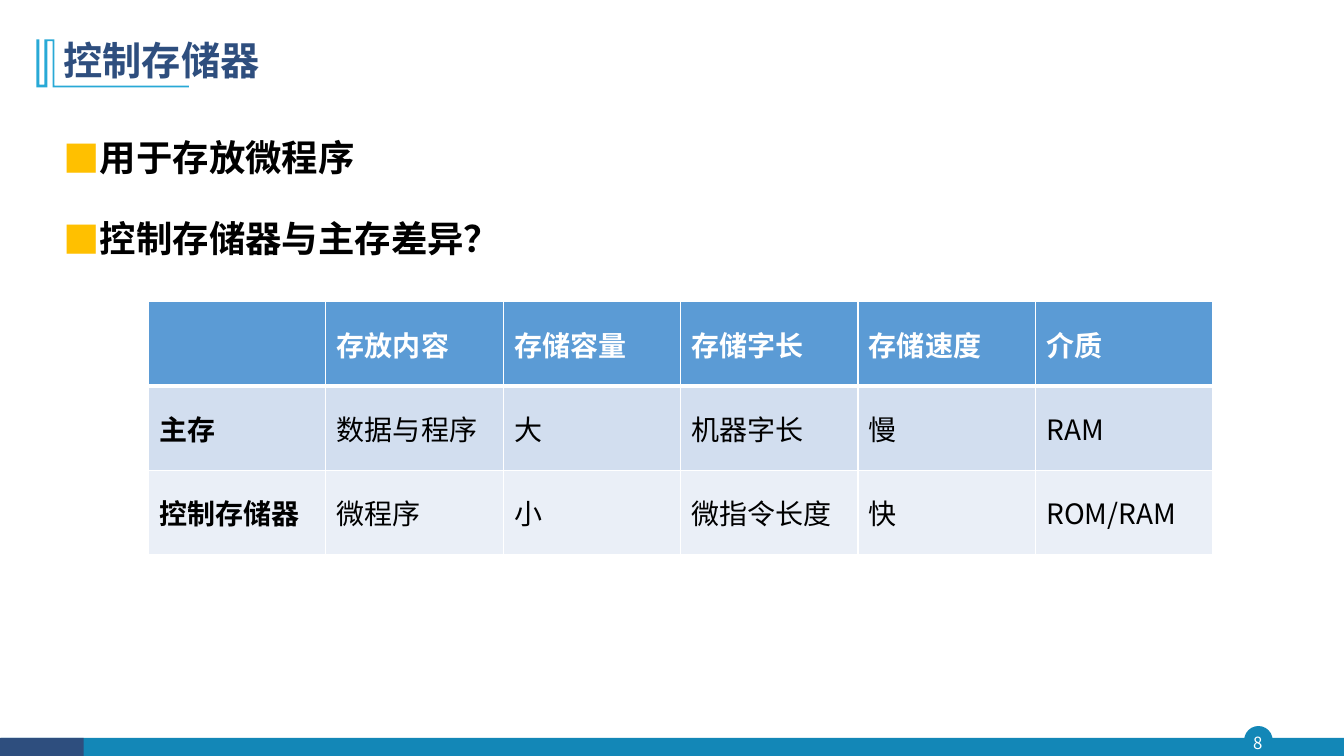
from lxml.etree import SubElement
from pptx import Presentation
from pptx.dml.color import RGBColor
from pptx.enum.shapes import MSO_SHAPE
from pptx.enum.text import MSO_ANCHOR, MSO_AUTO_SIZE, PP_ALIGN
from pptx.oxml import parse_xml
from pptx.oxml.ns import nsdecls, qn
from pptx.util import Pt

FONT = "Noto Sans CJK SC"
COLORS = {
    "navy": "2E4E7E", "teal": "1387B7", "sky": "28A9D6", "gold": "FFC000",
    "white": "FFFFFF", "black": "000000",
    "header": "5B9BD5", "band_dark": "D2DEEF", "band_light": "EAEFF7",
}
MARK_OUTLINE = [
    (38.9, 28.1), (38.9, 61.2), (134.9, 61.2), (134.9, 62.5), (37.5, 62.5),
    (37.5, 29.4), (33.8, 29.4), (33.8, 62.5), (25.9, 62.5), (25.9, 28.1),
    (28.1, 28.1), (28.1, 60.5), (31.7, 60.5), (31.7, 28.1),
]
BULLETS = ["用于存放微程序", "控制存储器与主存差异？"]
MEMORY_ROWS = [
    ["", "存放内容", "存储容量", "存储字长", "存储速度", "介质"],
    ["主存", "数据与程序", "大", "机器字长", "慢", "RAM"],
    ["控制存储器", "微程序", "小", "微指令长度", "快", "ROM/RAM"],
]


def color(name):
    return RGBColor.from_string(COLORS[name])


def write(paragraph, text, size=20, color_name="black", bold=False,
          align=PP_ALIGN.LEFT):
    paragraph.alignment = align
    run = paragraph.add_run()
    run.text = text
    run.font.size = Pt(size)
    run.font.bold = bold
    run.font.name = FONT
    run.font.color.rgb = color(color_name)
    SubElement(run.font._element, qn("a:ea")).set("typeface", FONT)


def paint(shape, color_name):
    shape.shadow.inherit = False
    shape.fill.solid()
    shape.fill.fore_color.rgb = color(color_name)
    shape.line.fill.background()


def add_block(slide, kind, left, top, width, height, color_name):
    shape = slide.shapes.add_shape(kind, Pt(left), Pt(top), Pt(width), Pt(height))
    paint(shape, color_name)
    return shape


def add_text_box(slide, left, top, width, height):
    box = slide.shapes.add_textbox(Pt(left), Pt(top), Pt(width), Pt(height))
    box.text_frame.word_wrap = True
    return box.text_frame


def add_footer(slide, number):
    circle = add_block(slide, MSO_SHAPE.OVAL, 889.2, 519.1, 19.4, 19.4, "teal")
    circle.line.color.rgb = color("teal")
    circle.line.width = Pt(1)
    add_block(slide, MSO_SHAPE.RECTANGLE, 0.7, 527, 959.3, 13.4, "teal")
    add_block(slide, MSO_SHAPE.RECTANGLE, 0, 527, 59.8, 13.4, "navy")
    frame = add_text_box(slide, 887, 519.1, 23, 22.3)
    frame.margin_left = frame.margin_right = 0
    frame.margin_top = frame.margin_bottom = 0
    frame.vertical_anchor = MSO_ANCHOR.MIDDLE
    write(frame.paragraphs[0], number, size=12, color_name="white",
          align=PP_ALIGN.CENTER)


def add_title(slide, text):
    # Double-bar mark with underline
    points = [(Pt(x), Pt(y)) for x, y in MARK_OUTLINE]
    builder = slide.shapes.build_freeform(*points[0])
    builder.add_line_segments(points[1:], close=True)
    paint(builder.convert_to_shape(), "sky")
    # Title placeholder
    title = slide.shapes.title
    title.left, title.top = Pt(38.2), Pt(20.2)
    title.width, title.height = Pt(828), Pt(49)
    frame = title.text_frame
    frame.auto_size = MSO_AUTO_SIZE.NONE
    frame.vertical_anchor = MSO_ANCHOR.MIDDLE
    paragraph = frame.paragraphs[0]
    paragraph.line_spacing = 0.9
    write(paragraph, text, size=28, color_name="navy", bold=True)


def add_bullets(slide, texts):
    frame = add_text_box(slide, 38.2, 77.4, 815.8, 130)
    for index, text in enumerate(texts):
        paragraph = frame.add_paragraph() if index else frame.paragraphs[0]
        properties = paragraph._p.get_or_add_pPr()
        properties.set("marL", str(Pt(26)))
        properties.set("indent", str(-Pt(26)))
        bullet_color = SubElement(properties, qn("a:buClr"))
        SubElement(bullet_color, qn("a:srgbClr")).set("val", COLORS["gold"])
        SubElement(properties, qn("a:buFont")).set("typeface", FONT)
        SubElement(properties, qn("a:buChar")).set("char", "■")
        paragraph.line_spacing = Pt(46.5)
        paragraph.space_before = Pt(5.7 if index else 0)
        paragraph.space_after = Pt(5.7)
        write(paragraph, text, size=26, bold=True)


def set_borders(cell, widths):
    properties = cell._tc.get_or_add_tcPr()
    for position, (side, width) in enumerate(widths.items()):
        properties.insert(position, parse_xml(
            f'<a:ln{side} {nsdecls("a")} w="{Pt(width)}"><a:solidFill>'
            f'<a:srgbClr val="{COLORS["white"]}"/></a:solidFill></a:ln{side}>'))


def add_memory_table(slide, rows):
    column_width, row_height = 126.7, 60.2
    row_count, column_count = len(rows), len(rows[0])
    table = slide.shapes.add_table(
        row_count, column_count, Pt(106.1), Pt(215.5),
        Pt(column_width * column_count), Pt(row_height * row_count)).table
    for column in table.columns:
        column.width = Pt(column_width)
    fills = ["header", "band_dark", "band_light"]
    for row_index, values in enumerate(rows):
        table.rows[row_index].height = Pt(row_height)
        is_header = row_index == 0
        for column_index, text in enumerate(values):
            cell = table.cell(row_index, column_index)
            cell.vertical_anchor = MSO_ANCHOR.MIDDLE
            cell.margin_left = cell.margin_right = Pt(7.9)
            cell.fill.solid()
            cell.fill.fore_color.rgb = color(fills[row_index])
            set_borders(cell, {"L": 1, "R": 1, "T": 3 if row_index == 1 else 1,
                               "B": 3 if is_header else 1})
            if text:
                write(cell.text_frame.paragraphs[0], text,
                      color_name="white" if is_header else "black",
                      bold=is_header or column_index == 0)


def main():
    presentation = Presentation()
    presentation.slide_width, presentation.slide_height = Pt(960), Pt(540)
    slide = presentation.slides.add_slide(presentation.slide_layouts[5])
    add_footer(slide, "8")
    add_title(slide, "控制存储器")
    add_bullets(slide, BULLETS)
    add_memory_table(slide, MEMORY_ROWS)
    presentation.save("out.pptx")


if __name__ == "__main__":
    main()
